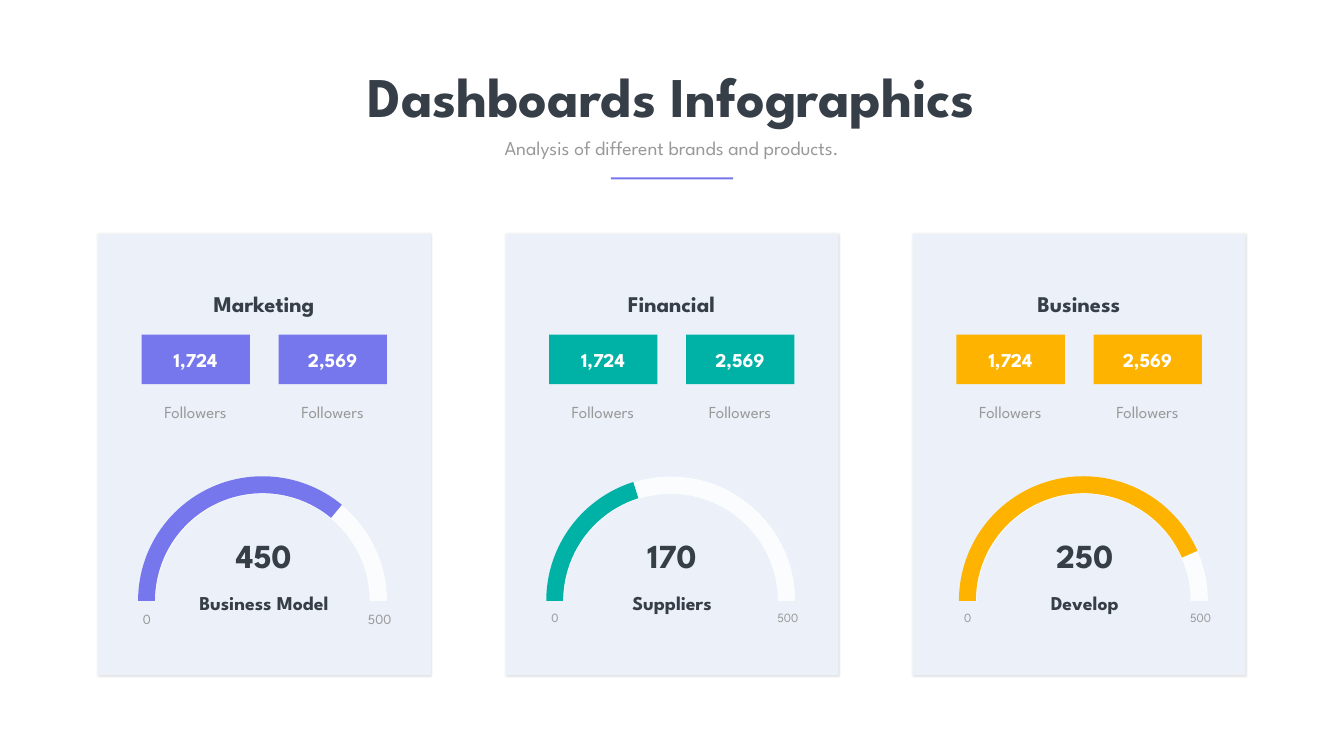
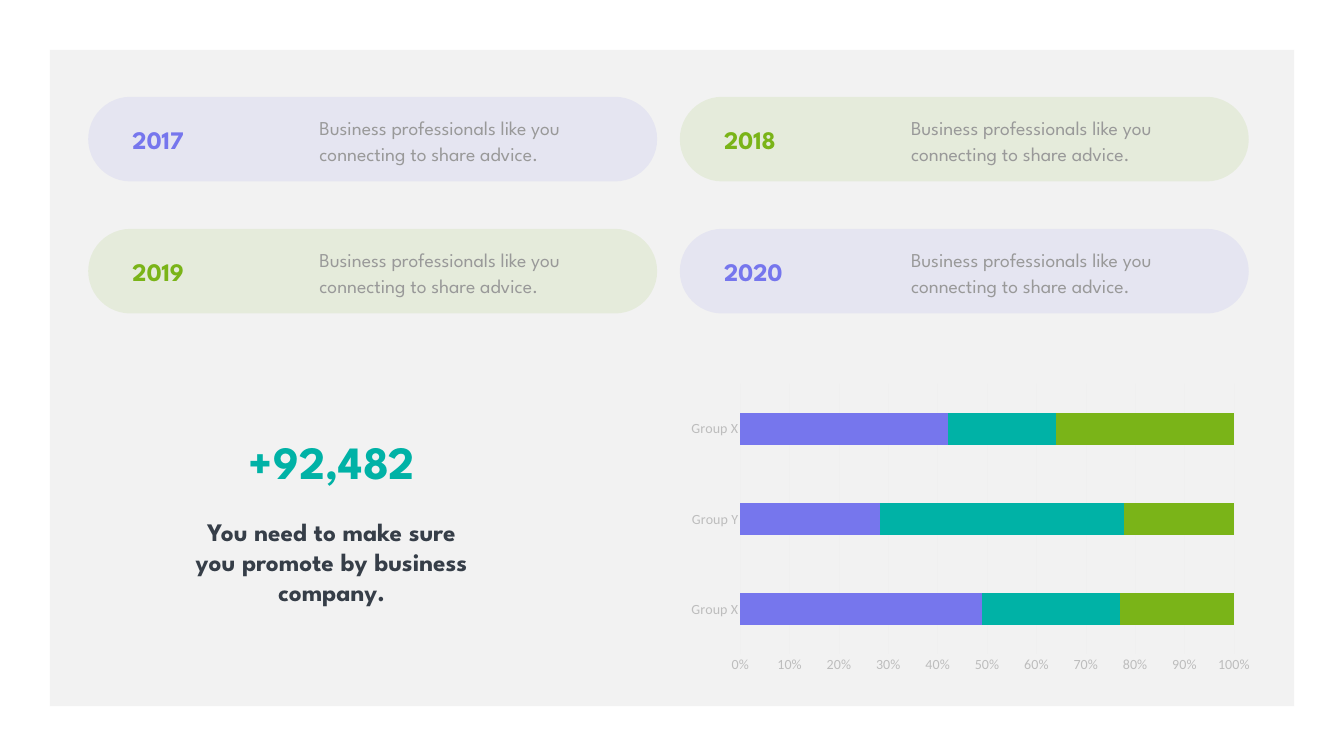
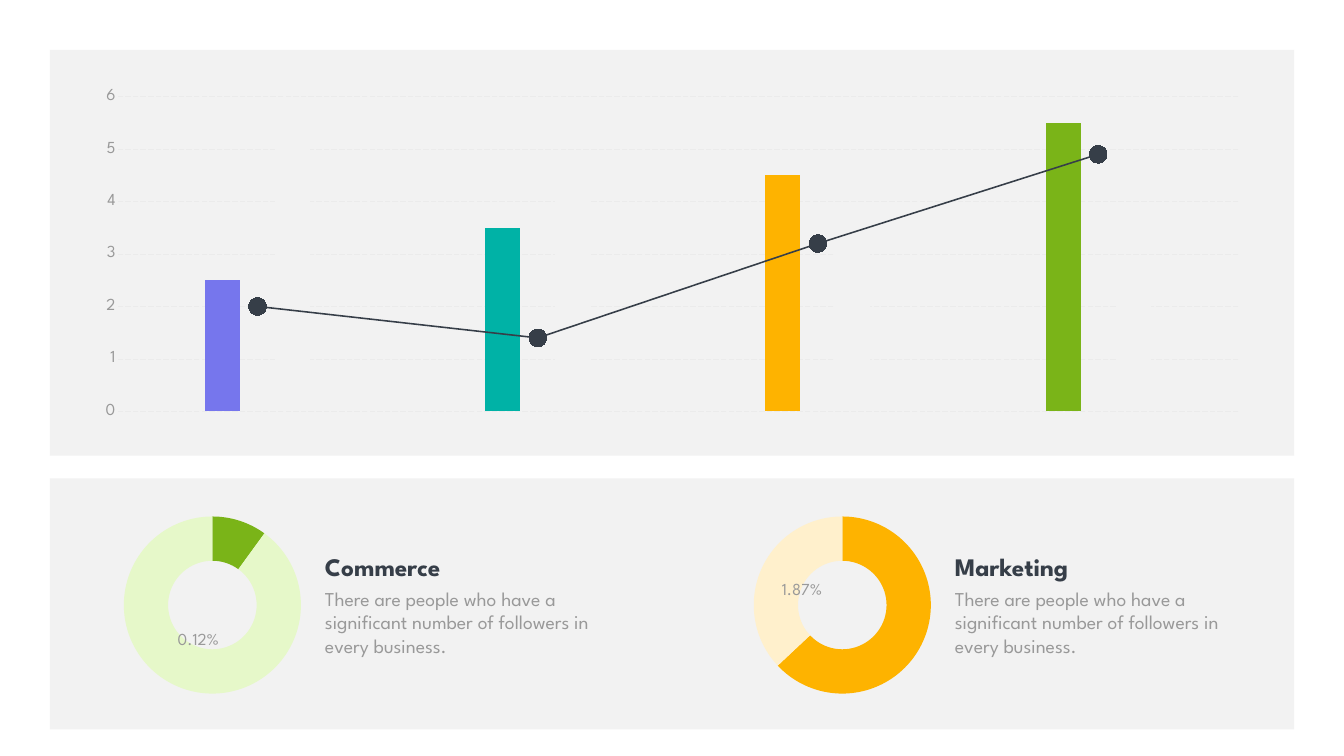
from lxml.etree import SubElement
from pptx import Presentation
from pptx.chart.data import CategoryChartData
from pptx.dml.color import RGBColor
from pptx.enum.chart import XL_CHART_TYPE, XL_MARKER_STYLE, XL_TICK_MARK
from pptx.enum.dml import MSO_LINE
from pptx.enum.shapes import MSO_SHAPE
from pptx.enum.text import MSO_AUTO_SIZE, PP_ALIGN
from pptx.oxml import parse_xml
from pptx.oxml.ns import nsdecls, qn
from pptx.util import Inches, Pt

FONT = "League Spartan"
COLOR = {
    "violet": "7676ED", "teal": "00B2A6", "amber": "FEB300", "green": "7AB418",
    "dark": "363E48", "gray": "999999", "silver": "BDBDBD", "panel": "F2F2F2",
    "card": "EEF4FF", "white": "FFFFFF", "shade": "000104", "grid": "F0F0F0",
    "dash": "EBEBEB", "lime": "E6F8C9", "cream": "FFF0CC",
}
PITCH = 16.17 / 2


def rgb(name):
    """Return the named colour."""
    return RGBColor.from_string(COLOR[name])


def paint(shape, color, alpha=None):
    """Fill a shape, with no line or shadow."""
    shape.shadow.inherit = False
    shape.line.fill.background()
    shape.fill.solid()
    shape.fill.fore_color.rgb = rgb(color)
    if alpha:
        tone = shape._element.spPr.find(qn("a:solidFill")).find(qn("a:srgbClr"))
        SubElement(tone, qn("a:alpha")).set("val", str(alpha * 1000))
    return shape


def block(slide, kind, box, color, alpha=None, adjust=()):
    """Add a filled preset shape."""
    shape = slide.shapes.add_shape(kind, *map(Inches, box))
    for i, value in enumerate(adjust):
        shape.adjustments[i] = value
    return paint(shape, color, alpha)


def text(slide, x, y, width, words, size, color="gray", bold=False,
         center=True, lines=1, lead=None, wrap=True):
    """Add a text box whose height follows from its lines."""
    height = lines * (lead or size * 1.2) / 72 + 0.1
    box = slide.shapes.add_textbox(*map(Inches, (x, y, width, height)))
    frame = box.text_frame
    frame.word_wrap = wrap
    frame.auto_size = MSO_AUTO_SIZE.SHAPE_TO_FIT_TEXT
    para = frame.paragraphs[0]
    para.alignment = PP_ALIGN.CENTER if center else PP_ALIGN.LEFT
    if lead:
        para.line_spacing = Pt(lead)
    run = para.add_run()
    run.text = words
    run.font.name = FONT
    run.font.size = Pt(size)
    run.font.bold = bold
    run.font.color.rgb = rgb(color)


def card(slide, x):
    """Add a pale card with a soft shadow."""
    shape = block(slide, MSO_SHAPE.ROUNDED_RECTANGLE, (x, 4.64, 6.61, 8.76),
                  "card", 80, [0])
    shape._element.spPr.xfrm.set("flipH", "1")
    effects = shape._element.spPr.find(qn("a:effectLst"))
    shadow = SubElement(effects, qn("a:outerShdw"), blurRad=str(Pt(2)),
                        dist=str(Pt(1)), dir="2700000", algn="tl", rotWithShape="0")
    tone = SubElement(shadow, qn("a:srgbClr"), val=COLOR["shade"])
    SubElement(tone, qn("a:alpha"), val="15000")


def stats(slide, x, title, color):
    """Add a title over two follower counts."""
    text(slide, x + 0.01, 5.71, 4.84, title, 32, "dark", True)
    for left, count in ((x + 2.72, "2,569"), (x, "1,724")):
        block(slide, MSO_SHAPE.RECTANGLE, (left, 6.64, 2.15, 0.98), color)
        text(slide, left + 0.31, 6.85, 1.52, count, 28, "white", True)
        text(slide, left, 7.93, 2.14, "Followers", 24)


def curve(form, steps):
    """Turn each three lines of a step into one curve."""
    lines = list(form._element.spPr.find(qn("a:custGeom")).iter(qn("a:lnTo")))
    for count in steps:
        group, lines = lines[:count], lines[count:]
        if count == 3:
            group[0].tag = qn("a:cubicBezTo")
            for line in group[1:]:
                group[0].append(line[0])
                line.getparent().remove(line)


def track(slide, x):
    """Add the pale half ring under a gauge."""
    mid, base, out, inn = x + 2.465, 11.92, 2.465, 2.12
    bend = 0.55
    spots = ((0, out), (bend * out, out), (out, bend * out), (out, 0),
             (inn, 0), (inn, bend * inn), (bend * inn, inn), (0, inn))
    left = [(-dx, dy) for dx, dy in reversed(spots)]
    points = [(Inches(mid + dx), Inches(base - dy))
              for dx, dy in [*spots, *left[1:]]]
    pen = slide.shapes.build_freeform(*points[0], scale=1.0)
    pen.add_line_segments(points[1:], close=True)
    form = paint(pen.convert_to_shape(), "white", 80)
    curve(form, (3, 1, 3, 3, 1, 3))


def gauge(slide, x, value, label, width, color, angle, size):
    """Add a half-ring gauge with its value and scale."""
    track(slide, x + 0.01)
    arc = block(slide, MSO_SHAPE.BLOCK_ARC, (x, 9.45, 4.94, 4.94), color,
                adjust=(angle, 0.016, 0.068))
    arc._element.spPr.xfrm.set("flipH", "1")
    text(slide, x + 1.37, 10.56, 2.25, value, 48, "dark", True)
    text(slide, x + 2.495 - width / 2, 11.67, width, label, 28, "dark", True)
    text(slide, x - 0.15, 12.06, 0.65, "0", size)
    text(slide, x + 4.2, 12.06, 1.19, "500", size)


def pill(slide, x, y, year, color):
    """Add a tinted pill with a year and a remark."""
    block(slide, MSO_SHAPE.ROUNDED_RECTANGLE, (x, y, 11.29, 1.68), color, 10, [0.5])
    text(slide, x + 4.49, y + 0.29, 5.81,
         "Business professionals like you connecting to share advice.",
         28, center=False, lines=2, lead=36.6)
    text(slide, x + 0.78, y + 0.5, 3.72, year, 36, color, True, False)


def graph(slide, kind, box, cats, rows, size, font=FONT):
    """Add a chart with one series per row."""
    data = CategoryChartData()
    data.categories = cats
    for i, row in enumerate(rows, 1):
        data.add_series(f"Series {i}", row)
    chart = slide.shapes.add_chart(kind, *map(Inches, box), data).chart
    chart.has_legend = False
    chart.has_title = False
    chart.font.name = font
    chart.font.size = Pt(size)
    chart.font.color.rgb = rgb("gray")
    return chart


def tint(part, color):
    """Fill a series or a point."""
    part.format.fill.solid()
    part.format.fill.fore_color.rgb = rgb(color)


def style(axis, size, color, font):
    """Set the labels of an axis and drop its ticks."""
    axis.major_tick_mark = axis.minor_tick_mark = XL_TICK_MARK.NONE
    labels = axis.tick_labels.font
    labels.size = Pt(size)
    labels.name = font
    labels.color.rgb = rgb(color)


def rule(axis, color, width):
    """Hide the axis line and draw its grid; return the grid line."""
    axis.format.line.fill.background()
    axis.has_major_gridlines = True
    line = axis.major_gridlines.format.line
    line.color.rgb = rgb(color)
    line.width = Pt(width)
    return line


def bars(slide):
    """Add the stacked bars of the groups."""
    rows = ((49, 28, 42), (28, 49, 22), (23, 22, 36))
    chart = graph(slide, XL_CHART_TYPE.BAR_STACKED_100, (13.49, 7.5, 11.54, 5.98),
                  ("Group X", "Group Y", "Group X"), rows, 20, "Calibri")
    plot = chart.plots[0]
    plot.gap_width, plot.overlap = 182, 100
    plot.vary_by_categories = False
    for row, color in zip(plot.series, ("violet", "teal", "green")):
        tint(row, color)
    for axis in (chart.category_axis, chart.value_axis):
        style(axis, 20, "silver", "Calibri")
    line = chart.category_axis.format.line
    line.color.rgb = rgb("grid")
    line.width = Pt(0.75)
    rule(chart.value_axis, "grid", 0.75)
    labels = chart.value_axis.tick_labels
    labels.number_format = "0%"
    labels.number_format_is_linked = False


def overlay(chart):
    """Move the last series to a line plot on the same axes."""
    plot = chart.plots[0]._element
    row = plot.findall(qn("c:ser"))[-1]
    flag = row.find(qn("c:invertIfNegative"))
    if flag is not None:
        row.remove(flag)
    axes = "".join(f'<c:axId val="{a.get("val")}"/>' for a in plot.findall(qn("c:axId")))
    line = parse_xml(
        f'<c:lineChart {nsdecls("c")}><c:grouping val="standard"/>'
        f'<c:varyColors val="0"/><c:marker val="1"/>{axes}</c:lineChart>')
    line.insert(2, row)
    plot.addnext(line)
    return chart.plots[1].series[0]


def trend(slide):
    """Add the columns with a line over them."""
    rows = ((2.5, 3.5, 4.5, 5.5), (5.5, 4.5, 3.5, 2.5), (2, 1.4, 3.2, 4.9))
    chart = graph(slide, XL_CHART_TYPE.COLUMN_CLUSTERED, (1.63, 1.63, 23.41, 6.82),
                  "1234", rows, 24)
    line = overlay(chart)
    plot = chart.plots[0]
    plot.gap_width, plot.overlap = 500, -100
    plot.vary_by_categories = False
    first, second = plot.series
    tint(first, "violet")
    tint(second, "panel")
    for i, color in enumerate(("teal", "amber", "green"), 1):
        tint(first.points[i], color)
    line.smooth = False
    line.format.line.color.rgb = rgb("dark")
    line.format.line.width = Pt(2.25)
    line.marker.style = XL_MARKER_STYLE.CIRCLE
    line.marker.size = 25
    tint(line.marker, "dark")
    line.marker.format.line.fill.background()
    chart.category_axis.visible = False
    axis = chart.value_axis
    style(axis, 24, "gray", FONT)
    rule(axis, "dash", 1).dash_style = MSO_LINE.LONG_DASH


def ring(slide, x, title, parts, colors, share, spot):
    """Add a doughnut with its share and a remark."""
    chart = graph(slide, XL_CHART_TYPE.DOUGHNUT, (x, 10.11, 3.91, 3.79),
                  "12", [parts], 10, "Calibri")
    plot = chart.plots[0]
    plot.vary_by_categories = True
    plot.has_data_labels = False
    for i, color in enumerate(colors):
        tint(plot.series[0].points[i], color)
    text(slide, x + 4.09, 10.88, 5.54, title, 36, "dark", True, False)
    text(slide, x + 4.09, 11.59, 5.55,
         "There are people who have a significant number of followers in every business.",
         28, center=False, lines=3)
    text(slide, *spot, 1.37, share, 24)


def boards(slide):
    """Build the slide of three dashboards."""
    text(slide, 6.44, 1.17, 13.77, "Dashboards Infographics", 80, "dark", True, wrap=False)
    text(slide, 8.55, 2.65, 9.56, "Analysis of different brands and products.", 28)
    block(slide, MSO_SHAPE.RECTANGLE, (12.12, 3.52, 2.43, 0.04), "violet")
    tops = (("Marketing", "violet"), ("Financial", "teal"), ("Business", "amber"))
    for i in range(3):
        card(slide, 1.94 + i * PITCH)
    for i, (title, color) in enumerate(tops):
        stats(slide, 2.81 + i * PITCH, title, color)
    gauge(slide, 2.74, "450", "Business Model", 3.99, "violet", 138.253, 20)
    gauge(slide, 10.84, "170", "Suppliers", 2.31, "teal", 172.518, 18)
    gauge(slide, 19.03, "250", "Develop", 2.31, "amber", 122.192, 18)


def years(slide):
    """Build the slide of years and groups."""
    block(slide, MSO_SHAPE.RECTANGLE, (0.99, 0.99, 24.69, 13.02), "panel")
    bars(slide)
    for i, color in enumerate(("violet", "green", "green", "violet")):
        row, col = divmod(i, 2)
        pill(slide, 1.75 + col * 11.74, 1.92 + row * 2.62, str(2017 + i), color)
    text(slide, 3.76, 10.19, 5.64, "You need to make sure you promote by business company.",
         36, "dark", True, lines=3)
    text(slide, 4.78, 8.54, 3.61, "+92,482", 66, "teal", True, wrap=False)


def trends(slide):
    """Build the slide of columns and doughnuts."""
    for top, height in ((9.49, 4.98), (0.99, 8.05)):
        block(slide, MSO_SHAPE.RECTANGLE, (0.99, top, 24.69, height), "panel")
    trend(slide)
    ring(slide, 2.26, "Commerce", (10, 90), ("green", "lime"), "0.12%", (3.25, 12.42))
    ring(slide, 14.76, "Marketing", (63, 37), ("amber", "cream"), "1.87%", (15.23, 11.44))


def main():
    """Build and save the deck."""
    deck = Presentation()
    deck.slide_width, deck.slide_height = Inches(26.67), Inches(15)
    for build in (boards, years, trends):
        build(deck.slides.add_slide(deck.slide_layouts[6]))
    deck.save("out.pptx")


if __name__ == "__main__":
    main()
